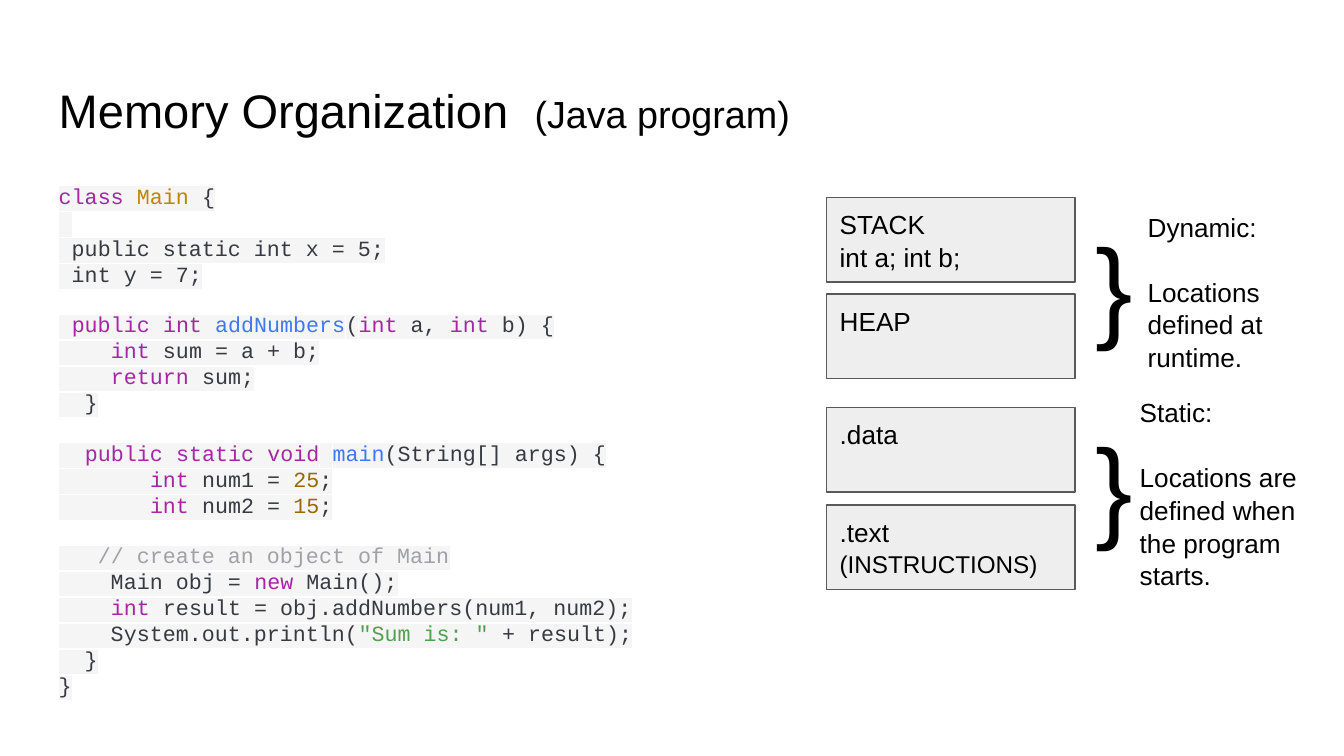
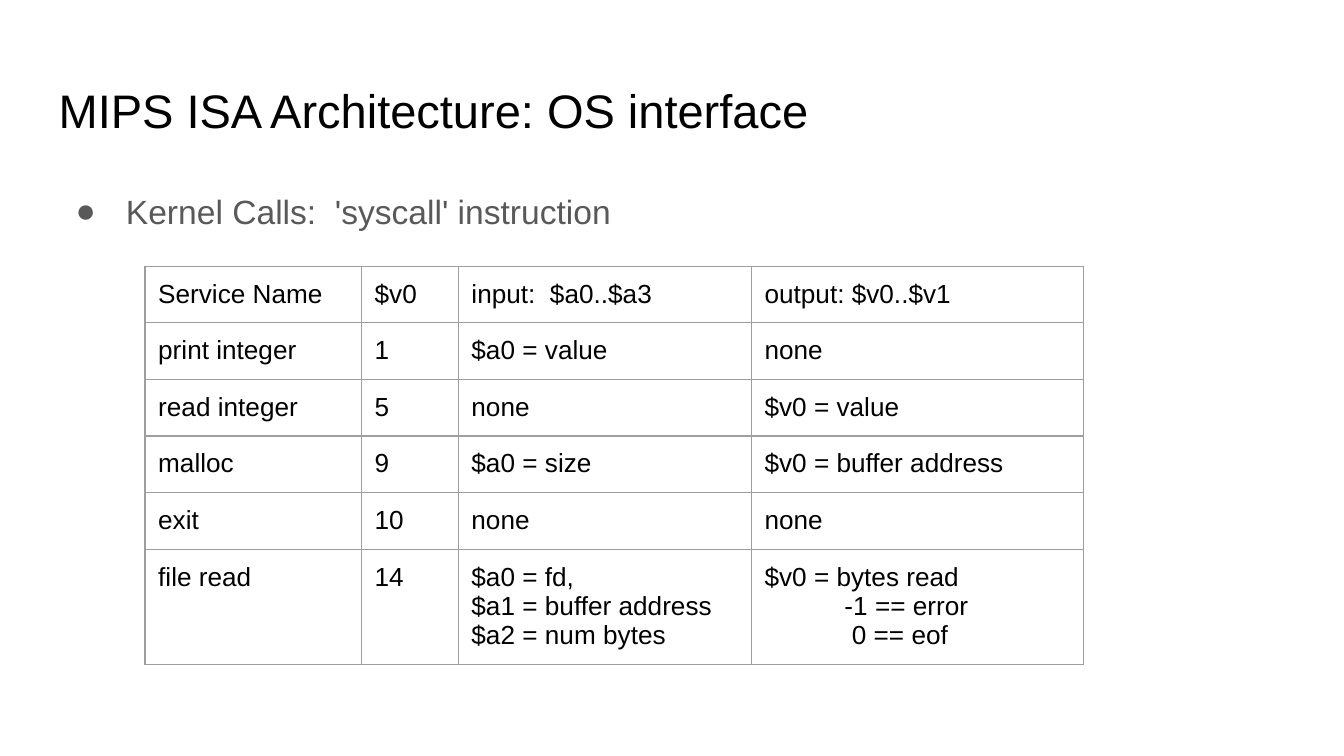
"""Build two slides on program memory layout and MIPS system calls."""
from lxml import etree
from pptx import Presentation
from pptx import util as u
from pptx.dml.color import RGBColor
from pptx.enum import shapes, text
from pptx.oxml import ns

BLACK = RGBColor(0x00, 0x00, 0x00)
GREY = RGBColor(0x59, 0x59, 0x59)
REGION_FILL = RGBColor(0xEE, 0xEE, 0xEE)
GRID = RGBColor(0x9E, 0x9E, 0x9E)
CODE_BACK = RGBColor(0xF5, 0xF5, 0xF5)
PLAIN = RGBColor(0x38, 0x3A, 0x42)
KEYWORD = RGBColor(0xA6, 0x26, 0xA4)
CLASS = RGBColor(0xC1, 0x84, 0x01)
METHOD = RGBColor(0x40, 0x78, 0xF2)
NUMBER = RGBColor(0x98, 0x68, 0x01)
COMMENT = RGBColor(0xA0, 0xA1, 0xA7)
STRING = RGBColor(0x50, 0xA1, 0x4F)

INSET = u.Cm(0.25)
FRAME = {
    "word_wrap": True,
    "auto_size": text.MSO_AUTO_SIZE.NONE,
    "vertical_anchor": text.MSO_ANCHOR.TOP,
    "margin_left": INSET,
    "margin_right": INSET,
    "margin_top": INSET,
    "margin_bottom": INSET,
}
PARAGRAPH = {
    "alignment": text.PP_ALIGN.LEFT,
    "line_spacing": 1.05,
    "space_before": u.Pt(0),
    "space_after": u.Pt(0),
}


def apply(target, values, **changes):
    for key, value in {**values, **changes}.items():
        setattr(target, key, value)


def write(paragraph, words, size, color=BLACK, font="Arial", **changes):
    apply(paragraph, PARAGRAPH, **changes)
    run = paragraph.add_run()
    run.text = words
    apply(run.font, {"size": u.Pt(size), "name": font, "bold": False})
    run.font.color.rgb = color
    return run


deck = Presentation()
apply(deck, {"slide_width": u.Cm(25.4), "slide_height": u.Cm(14.29)})

pages = []
for heading in ("Memory Organization  ", "MIPS ISA Architecture: OS interface"):
    page = deck.slides.add_slide(deck.slide_layouts[1])
    title, body = page.placeholders
    for holder, top, height in ((title, 1.24, 1.6), (body, 3.2, 9.5)):
        apply(holder, {"left": u.Cm(0.86), "top": u.Cm(top),
                       "width": u.Cm(23.67), "height": u.Cm(height)})
        apply(holder.text_frame, FRAME)
    write(title.text_frame.paragraphs[0], heading, 25.2)
    pages.append(page)
memory, syscalls = pages

write(memory.shapes.title.text_frame.paragraphs[0], "(Java program)", 20.2)

CODE = [
    [("class", KEYWORD), (" ", PLAIN), ("Main", CLASS), (" {", PLAIN)],
    [(" ", PLAIN)],
    [(" public static int x = 5;", PLAIN)],
    [(" int y = 7;", PLAIN)],
    [],
    [(" ", PLAIN), ("public", KEYWORD), (" ", PLAIN), ("int", KEYWORD),
     (" ", PLAIN), ("addNumbers", METHOD), ("(", PLAIN), ("int", KEYWORD),
     (" a, ", PLAIN), ("int", KEYWORD), (" b) {", PLAIN)],
    [("    ", PLAIN), ("int", KEYWORD), (" sum = a + b;", PLAIN)],
    [("    ", PLAIN), ("return", KEYWORD), (" sum;", PLAIN)],
    [("  }", PLAIN)],
    [],
    [("  ", PLAIN), ("public", KEYWORD), (" ", PLAIN), ("static", KEYWORD),
     (" ", PLAIN), ("void", KEYWORD), (" ", PLAIN), ("main", METHOD),
     ("(String[] args) {", PLAIN)],
    [("       ", PLAIN), ("int", KEYWORD), (" num1 = ", PLAIN), ("25", NUMBER), (";", PLAIN)],
    [("       ", PLAIN), ("int", KEYWORD), (" num2 = ", PLAIN), ("15", NUMBER), (";", PLAIN)],
    [],
    [("   ", PLAIN), ("// create an object of Main", COMMENT)],
    [("    Main obj = ", PLAIN), ("new", KEYWORD), (" Main();", PLAIN)],
    [("    ", PLAIN), ("int", KEYWORD), (" result = obj.addNumbers(num1, num2);", PLAIN)],
    [("    System.out.println(", PLAIN), ('"Sum is: "', STRING), (" + result);", PLAIN)],
    [("  }", PLAIN)],
    [("}", PLAIN)],
]
listing = memory.placeholders[1].text_frame
line = listing.paragraphs[0]
gap = 0
for number, tokens in enumerate(CODE):
    if not tokens:
        gap = 13.2
        continue
    if number:
        line = listing.add_paragraph()
    for words, color in tokens:
        run = write(line, words, 11.6, color, "Courier New",
                    line_spacing=1.0, space_before=u.Pt(gap))
        highlight = etree.Element(ns.qn("a:highlight"))
        etree.SubElement(highlight, ns.qn("a:srgbClr"), val=str(CODE_BACK))
        run.font._element.find(ns.qn("a:solidFill")).addnext(highlight)
    layout = line._p.get_or_add_pPr()
    apply_indent = {"marL": "0", "indent": "0"}
    for key, value in apply_indent.items():
        layout.set(key, value)
    etree.SubElement(layout, ns.qn("a:buNone"))
    gap = 0

REGIONS = [
    (3.73, [[("STACK", 14)], [("int a; int b;", 14)]]),
    (5.56, [[("HEAP", 14)]]),
    (7.7, [[(".data", 14)]]),
    (9.55, [[(".text ", 14), ("(INSTRUCTIONS)", 13)]]),
]
for top, rows in REGIONS:
    region = memory.shapes.add_shape(
        shapes.MSO_SHAPE.RECTANGLE, u.Cm(15.62), u.Cm(top), u.Cm(4.7), u.Cm(1.6))
    region.shadow.inherit = False
    region.fill.solid()
    region.fill.fore_color.rgb = REGION_FILL
    region.line.color.rgb = GREY
    region.line.width = u.Pt(0.75)
    apply(region.text_frame, FRAME, margin_top=u.Cm(0.18), margin_bottom=u.Cm(0.18))
    for number, parts in enumerate(rows):
        entry = region.text_frame.add_paragraph() if number else region.text_frame.paragraphs[0]
        for words, size in parts:
            write(entry, words, size)

NOTES = [
    (20.45, 3.84, 1.22, 2.82, 60, ["}"]),
    (20.45, 7.62, 1.22, 2.82, 60, ["}"]),
    (21.44, 3.84, 3.86, 3.25, 14, ["Dynamic:", "Locations defined at runtime."]),
    (21.29, 7.34, 3.86, 3.84, 14,
     ["Static:", "Locations are defined when the program starts."]),
]
for left, top, width, height, size, lines in NOTES:
    note = memory.shapes.add_textbox(u.Cm(left), u.Cm(top), u.Cm(width), u.Cm(height)).text_frame
    apply(note, FRAME, margin_top=u.Cm(0.13), margin_bottom=u.Cm(0.13))
    write(note.paragraphs[0], lines[0], size)
    for words in lines[1:]:
        write(note.add_paragraph(), words, size, space_before=u.Pt(16.9))

topic = syscalls.placeholders[1].text_frame.paragraphs[0]
write(topic, "Kernel Calls:  'syscall' instruction", 18, GREY, line_spacing=1.2)
layout = topic._p.get_or_add_pPr()
layout.set("marL", str(u.Cm(1.27)))
layout.set("indent", str(u.Cm(-0.95)))
bullet_color = etree.SubElement(layout, ns.qn("a:buClr"))
etree.SubElement(bullet_color, ns.qn("a:srgbClr"), val=str(GREY))
etree.SubElement(layout, ns.qn("a:buFont"), typeface="Arial")
etree.SubElement(layout, ns.qn("a:buChar"), char="●")

SERVICES = [
    ["Service Name", "$v0", "input:  $a0..$a3", "output: $v0..$v1"],
    ["print integer", "1", "$a0 = value", "none"],
    ["read integer", "5", "none", "$v0 = value"],
    ["malloc", "9", "$a0 = size", "$v0 = buffer address"],
    ["exit", "10", "none", "none"],
    ["file read", "14", "$a0 = fd,\n$a1 = buffer address\n$a2 = num bytes",
     "$v0 = bytes read\n-1 == error\n0 == eof"],
]
INDENTS = {"-1 == error": 1.51, "0 == eof": 1.65}
WIDTHS = [4.09, 1.83, 5.54, 6.27]
HEIGHTS = [1.07] * 5 + [2.18]
services = syscalls.shapes.add_table(
    len(SERVICES), len(WIDTHS), u.Cm(2.74), u.Cm(5.03),
    u.Cm(sum(WIDTHS)), u.Cm(sum(HEIGHTS))).table
apply(services, {"first_row": False, "horz_banding": False})
for column, width in zip(services.columns, WIDTHS):
    column.width = u.Cm(width)
for row, height, entries in zip(services.rows, HEIGHTS, SERVICES):
    row.height = u.Cm(height)
    for cell, entry in zip(row.cells, entries):
        apply(cell, {key: FRAME[key] for key in FRAME if key.startswith("margin")},
              vertical_anchor=text.MSO_ANCHOR.TOP)
        for number, words in enumerate(entry.split("\n")):
            item = cell.text_frame.add_paragraph() if number else cell.text_frame.paragraphs[0]
            write(item, words, 14, line_spacing=1.0)
            if words in INDENTS:
                item._p.get_or_add_pPr().set("marL", str(u.Cm(INDENTS[words])))
        borders = cell._tc.get_or_add_tcPr()
        for side in ("lnL", "lnR", "lnT", "lnB"):
            edge = etree.SubElement(borders, ns.qn("a:" + side), w=str(u.Pt(0.75)))
            paint = etree.SubElement(edge, ns.qn("a:solidFill"))
            etree.SubElement(paint, ns.qn("a:srgbClr"), val=str(GRID))
        cell.fill.background()

deck.save("out.pptx")
